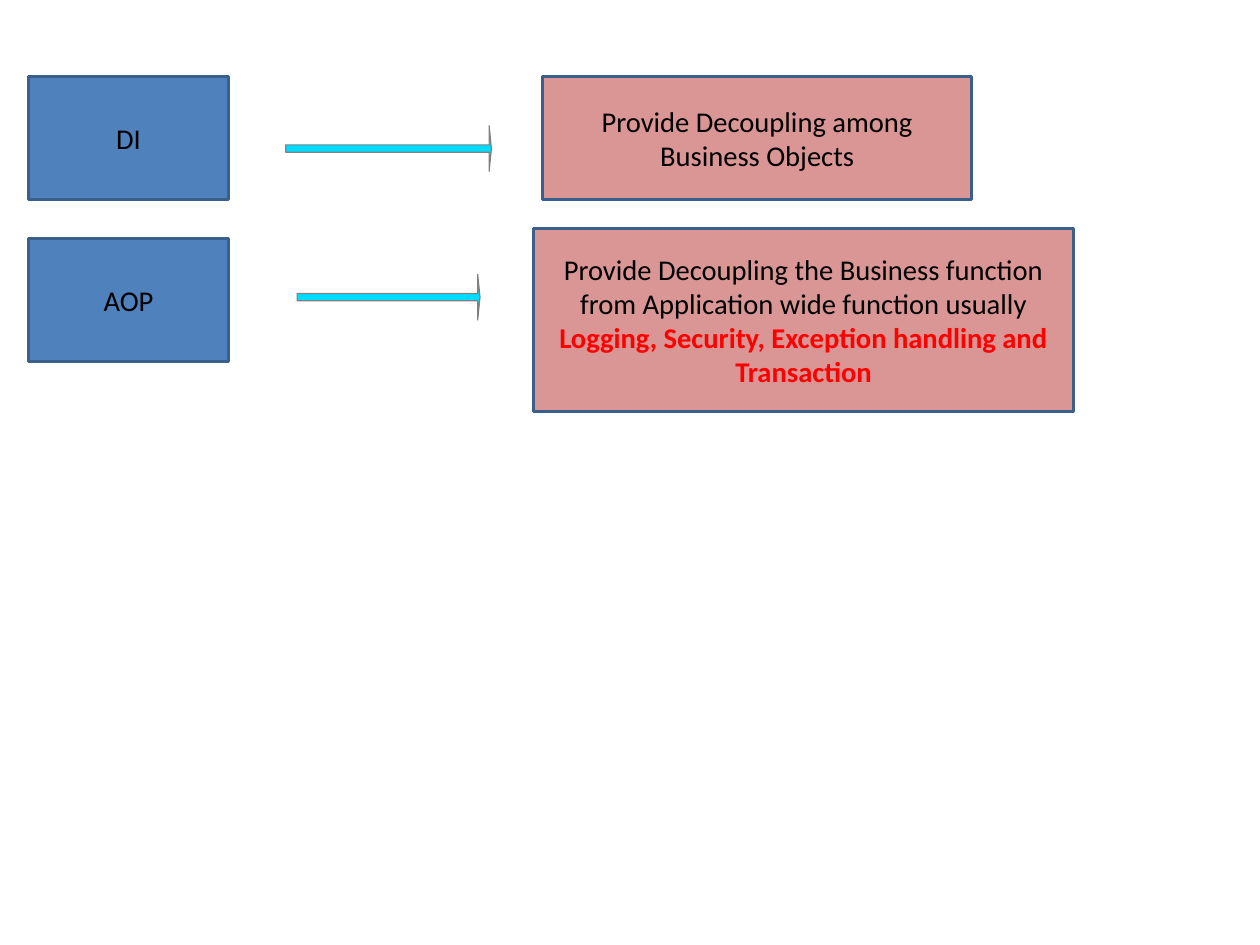
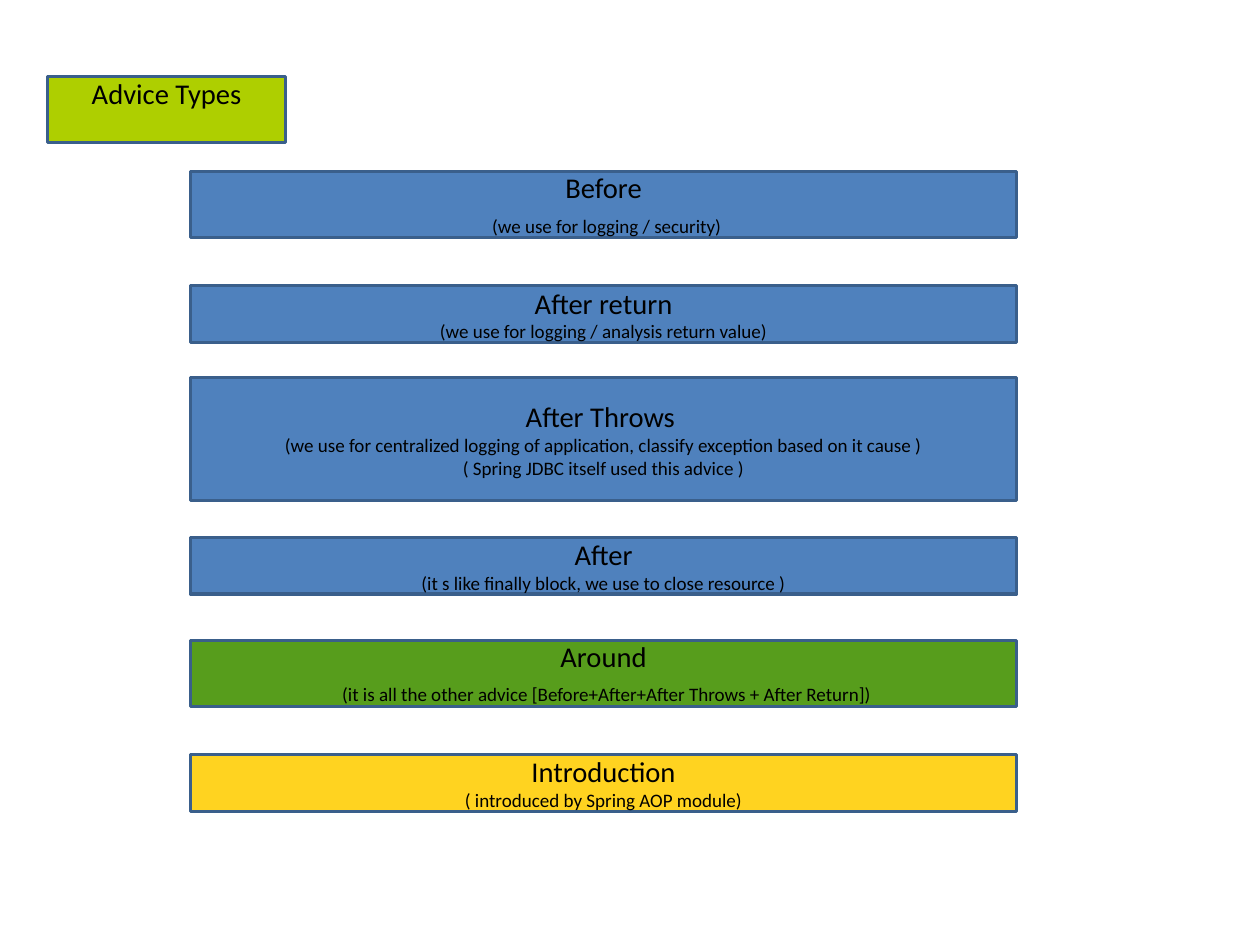
from pptx import Presentation
from pptx.dml.color import RGBColor
from pptx.enum import shapes, text
from pptx.util import Pt

BLUE = RGBColor(0x4F, 0x81, 0xBD)
ROSE = RGBColor(0xD9, 0x96, 0x94)
LIME = RGBColor(0xAE, 0xCF, 0x00)
GREEN = RGBColor(0x57, 0x9D, 0x1C)
YELLOW = RGBColor(0xFF, 0xD3, 0x20)
CYAN = RGBColor(0x00, 0xDC, 0xFF)
BORDER = RGBColor(0x3A, 0x5F, 0x8B)
GRAY = RGBColor(0x80, 0x80, 0x80)
BLACK = RGBColor(0x00, 0x00, 0x00)
RED = RGBColor(0xFF, 0x00, 0x00)
FONT = "Calibri"
HEADING, DETAIL = 18, 12


def add_block(slide, kind, bounds, fill, line, line_width):
    block = slide.shapes.add_shape(kind, *[Pt(value) for value in bounds])
    block.shadow.inherit = False
    block.fill.solid()
    block.fill.fore_color.rgb = fill
    block.line.color.rgb = line
    block.line.width = Pt(line_width)
    return block


def add_box(slide, bounds, fill, paragraphs):
    box = add_block(slide, shapes.MSO_SHAPE.RECTANGLE, bounds, fill, BORDER, 2)
    frame = box.text_frame
    frame.word_wrap = True
    frame.vertical_anchor = text.MSO_ANCHOR.MIDDLE
    for index, runs in enumerate(paragraphs):
        paragraph = frame.paragraphs[0] if index == 0 else frame.add_paragraph()
        paragraph.alignment = text.PP_ALIGN.CENTER
        for words, size, color, bold in runs:
            run = paragraph.add_run()
            run.text = words
            run.font.name = FONT
            run.font.size = Pt(size)
            run.font.color.rgb = color
            run.font.bold = bold
    return box


deck = Presentation()
deck.slide_width, deck.slide_height = Pt(793.75), Pt(595.25)
blank = deck.slide_layouts[6]

purposes = deck.slides.add_slide(blank)
concepts = [
    ("DI", 48, (342, 48, 270, 77.75), (180, 79.2, 129.6, 28.8),
     [("Provide Decoupling among Business Objects", HEADING, BLACK, False)]),
    ("AOP", 150, (336, 144, 340.5, 115.2), (187.2, 172.8, 115.2, 28.8),
     [("Provide Decoupling the Business function from Application wide function usually ",
       HEADING, BLACK, False),
      ("Logging, Security, Exception handling and Transaction", HEADING, RED, True)]),
]
for concept, top, purpose_bounds, arrow_bounds, purpose in concepts:
    add_box(purposes, (18, top, 126, 77.75), BLUE, [[(concept, HEADING, BLACK, False)]])
    add_box(purposes, purpose_bounds, ROSE, [purpose])
    arrow = add_block(purposes, shapes.MSO_SHAPE.RIGHT_ARROW, arrow_bounds, CYAN, GRAY, 0.75)
    arrow.adjustments[0] = 0.16
    arrow.adjustments[1] = 0.05

advice_types = deck.slides.add_slide(blank)
title = add_box(advice_types, (30, 48, 150, 41.75), LIME,
                [[("Advice Types", HEADING, BLACK, False)]])
title.text_frame.vertical_anchor = text.MSO_ANCHOR.TOP
title.text_frame.margin_top = 0

spacer = (" ", HEADING, BLACK, False)
advices = [
    (108, 41.75, BLUE, [spacer], "Before", ["(we use for logging / security)"]),
    (180, 35.75, BLUE, [], "After return", ["(we use for logging / analysis return value)"]),
    (237.6, 77.75, BLUE, [], "After Throws ",
     ["(we use for centralized logging of application, classify exception based on it cause )",
      "( Spring JDBC itself used this advice )"]),
    (338.4, 35.75, BLUE, [], "After", ["(it s like finally block, we use to close resource )"]),
    (403.2, 41.75, GREEN, [spacer], "Around",
     ["(it is all the other advice [Before+After+After Throws + After Return])"]),
    (475.2, 35.75, YELLOW, [], "Introduction", ["( introduced by Spring AOP module)"]),
]
for top, height, fill, lead, advice, details in advices:
    paragraphs = [[(advice, HEADING, BLACK, False)]]
    paragraphs += [lead + [(detail, DETAIL, BLACK, False)] for detail in details]
    add_box(advice_types, (120, top, 520.5, height), fill, paragraphs)

deck.save("out.pptx")
